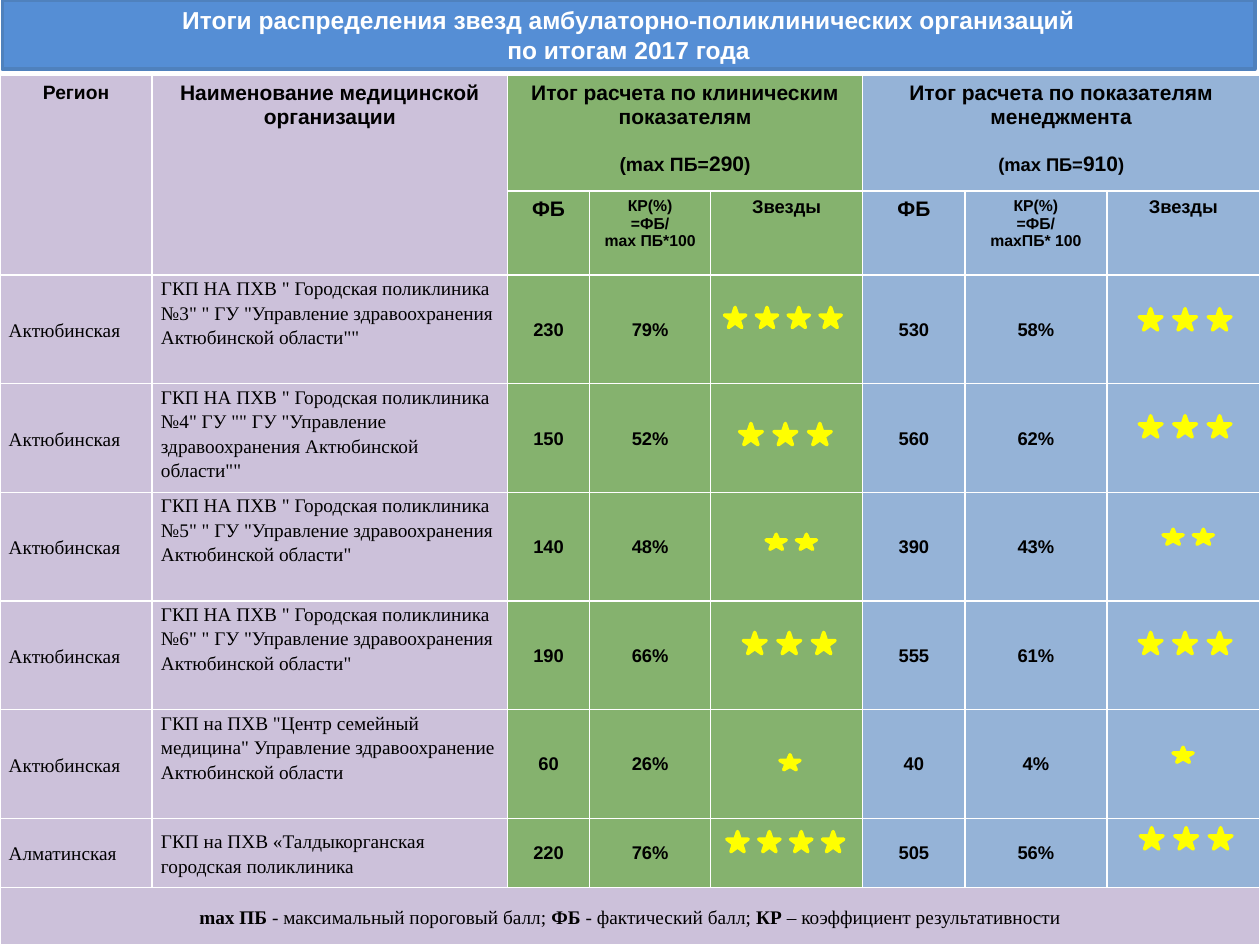
from dataclasses import dataclass
from itertools import product
from lxml.etree import SubElement
from pptx import Presentation
from pptx.dml.color import RGBColor
from pptx.enum.shapes import MSO_SHAPE
from pptx.enum.text import MSO_ANCHOR, PP_ALIGN
from pptx.oxml.ns import qn
from pptx.util import Pt


@dataclass
class Theme:
    lilac: str = "CCC1DA"
    green: str = "85B26E"
    blue: str = "95B3D7"
    banner: str = "558ED5"
    edge: str = "4F81BD"
    star: str = "FFFF00"
    white: str = "FFFFFF"
    black: str = "000000"
    sans: str = "Arial"
    serif: str = "Times New Roman"
    title: float = 14
    head: float = 12
    body: float = 11
    score: float = 10.5
    small: float = 9


T = Theme()

TITLE = "Итоги распределения звезд амбулаторно-поликлинических организаций\vпо итогам 2017 года"
LEADS = [("Регион", T.body), ("Наименование медицинской организации", T.head)]
# first column, fill, heading, threshold, size of threshold note, formula lines
SIDES = [
    (2, T.green, "Итог расчета по клиническим показателям", "290", T.body,
     ["КР(%)", "=ФБ/\vmах ПБ*100"]),
    (5, T.blue, "Итог расчета по показателям менеджмента", "910", T.score,
     ["КР(%)", "=ФБ/", "mахПБ* 100"]),
]
# region, organization, then per side: points, percent, (stars, left, top)
ROWS = [
    ("Актюбинская",
     'ГКП НА ПХВ " Городская поликлиника №3" " ГУ "Управление здравоохранения Актюбинской области""',
     ("230", "79%", (4, 414, 175.7)), ("530", "58%", (3, 651, 176.4))),
    ("Актюбинская",
     'ГКП НА ПХВ " Городская поликлиника №4" ГУ "" ГУ "Управление здравоохранения Актюбинской области""',
     ("150", "52%", (3, 422.6, 242)), ("560", "62%", (3, 651, 237.6))),
    ("Актюбинская",
     'ГКП НА ПХВ " Городская поликлиника №5" " ГУ "Управление здравоохранения Актюбинской области"',
     ("140", "48%", (2, 437.8, 305.3)), ("390", "43%", (2, 664.6, 302.4))),
    ("Актюбинская",
     'ГКП НА ПХВ " Городская поликлиника №6" " ГУ "Управление здравоохранения Актюбинской области"',
     ("190", "66%", (3, 424.8, 361.4)), ("555", "61%", (3, 651, 361.4))),
    ("Актюбинская",
     'ГКП на ПХВ "Центр семейный медицина" Управление здравоохранение Актюбинской области',
     ("60", "26%", (1, 445.7, 431.3)), ("40", "4%", (1, 670.3, 427))),
    ("Алматинская", "ГКП на ПХВ «Талдыкорганская городская поликлиника",
     ("220", "76%", (4, 415.4, 475.2)), ("505", "56%", (3, 651.6, 473))),
]
NOTE = [("mах ПБ ", True), ("- максимальный пороговый балл; ", False), ("ФБ", True),
        (" - фактический балл; ", False), ("КР", True),
        (" – коэффициент результативности", False)]

COLS = [87, 203, 47, 69, 87, 58.5, 81, 87.5]
HIGHS = [66, 48] + [62.1] * 5 + [39.5, 32.8]
TOP = 43.2
# star count: width, height, step
STARS = {1: (11.5, 8.6, 0), 2: (11.5, 8.6, 17.3), 3: (13, 12.2, 19.7), 4: (12.2, 11.5, 18.2)}
TIGHT = (0.7, 0.7, 0.7, 0)
WIDE = (5, 0, 5, 0)


def rgb(code):
    return RGBColor.from_string(code)


def style(run, size, bold, face, color=T.black):
    run.font.size, run.font.bold, run.font.name = Pt(size), bold, face
    run.font.color.rgb = rgb(color)


def write(cell, paras, face=T.sans, align=PP_ALIGN.CENTER, anchor=MSO_ANCHOR.TOP,
          inset=None, space=None):
    """Fill a cell from paragraphs, each a list of (text, size, bold)."""
    cell.vertical_anchor = anchor
    if inset:
        (cell.margin_left, cell.margin_top,
         cell.margin_right, cell.margin_bottom) = map(Pt, inset)
    frame = cell.text_frame
    for i, parts in enumerate(paras):
        para = frame.add_paragraph() if i else frame.paragraphs[0]
        para.alignment = align
        if space:
            para.line_spacing = space
        para.text = "".join(parts[0][0]) if len(parts) == 1 else ""
        for text, size, bold in parts:
            if len(parts) > 1:
                para.add_run().text = text
            for run in para.runs if len(parts) == 1 else para.runs[-1:]:
                style(run, size, bold, face)


def border(cell):
    props = cell._tc.get_or_add_tcPr()
    for i, side in enumerate(("a:lnL", "a:lnR", "a:lnT", "a:lnB")):
        line = props.makeelement(qn(side), {"w": str(Pt(1))})
        fill = SubElement(line, qn("a:solidFill"))
        SubElement(fill, qn("a:srgbClr"), val=T.white)
        props.insert(i, line)


def draw(home, kind, box, fill, edge):
    shape = home.add_shape(kind, *map(Pt, box))
    shape.shadow.inherit = False
    shape.fill.solid()
    shape.fill.fore_color.rgb = rgb(fill)
    shape.line.color.rgb = rgb(edge)
    shape.line.width = Pt(2)
    return shape


def rate(shapes, count, left, top):
    """Draw one row of stars, grouped when there are several."""
    wide, high, step = STARS[count]
    home = shapes.add_group_shape().shapes if count > 1 else shapes
    for i in range(count):
        draw(home, MSO_SHAPE.STAR_5_POINT, (left + i * step, top, wide, high), T.star, T.star)


def heads(table):
    for col, (text, size) in enumerate(LEADS):
        table.cell(0, col).merge(table.cell(1, col))
        write(table.cell(0, col), [[(text, size, True)]])
    for col, _, text, peak, size, rule in SIDES:
        top = table.cell(0, col)
        top.merge(table.cell(0, col + 2))
        write(top, [[(text, T.head, True)],
                    [("(mах ПБ=", size, True), (peak, T.head, True), (")", size, True)]])
        top.text_frame.paragraphs[1].space_before = Pt(13.5)
        write(table.cell(1, col), [[("ФБ", T.head, True)]])
        write(table.cell(1, col + 1), [[(line, T.small, True)] for line in rule])
        write(table.cell(1, col + 2), [[("Звезды", T.score, True)]])


def main():
    deck = Presentation()
    deck.slide_width, deck.slide_height = Pt(720), Pt(540)
    shapes = deck.slides.add_slide(deck.slide_layouts[6]).shapes

    banner = draw(shapes, MSO_SHAPE.RECTANGLE, (1.4, 0, 715.7, 39.6), T.banner, T.edge)
    frame = banner.text_frame
    frame.word_wrap = True
    frame.vertical_anchor = MSO_ANCHOR.MIDDLE
    para = frame.paragraphs[0]
    para.text = TITLE
    para.alignment = PP_ALIGN.CENTER
    for run in para.runs:
        style(run, T.title, True, T.sans, T.white)

    table = shapes.add_table(len(HIGHS), len(COLS), 0, Pt(TOP),
                             Pt(sum(COLS)), Pt(sum(HIGHS))).table
    table.first_row = table.horz_banding = False
    for col, width in zip(table.columns, COLS):
        col.width = Pt(width)
    for row, high in zip(table.rows, HIGHS):
        row.height = Pt(high)

    last = len(HIGHS) - 1
    fills = [T.lilac] * 2 + [T.green] * 3 + [T.blue] * 3
    for row, col in product(range(len(HIGHS)), range(len(COLS))):
        cell = table.cell(row, col)
        cell.fill.solid()
        cell.fill.fore_color.rgb = rgb(T.lilac if row == last else fills[col])
        border(cell)

    heads(table)
    mid = MSO_ANCHOR.MIDDLE
    for row, (region, name, *sides) in enumerate(ROWS, 2):
        place = mid if row == last - 1 else MSO_ANCHOR.TOP
        for col, (text, anchor) in enumerate([(region, mid), (name, place)]):
            write(table.cell(row, col), [[(text, T.body, False)]], T.serif,
                  PP_ALIGN.LEFT, anchor, WIDE, 1.15)
        for (col, *_), (points, share, stars) in zip(SIDES, sides):
            for i, text in enumerate((points, share)):
                write(table.cell(row, col + i), [[(text, T.score, True)]],
                      anchor=mid, inset=TIGHT)
            rate(shapes, *stars)

    note = table.cell(last, 0)
    note.merge(table.cell(last, len(COLS) - 1))
    write(note, [[(text, T.body, bold) for text, bold in NOTE]], T.serif,
          anchor=mid, inset=WIDE, space=1.15)
    deck.save("out.pptx")


if __name__ == "__main__":
    main()
